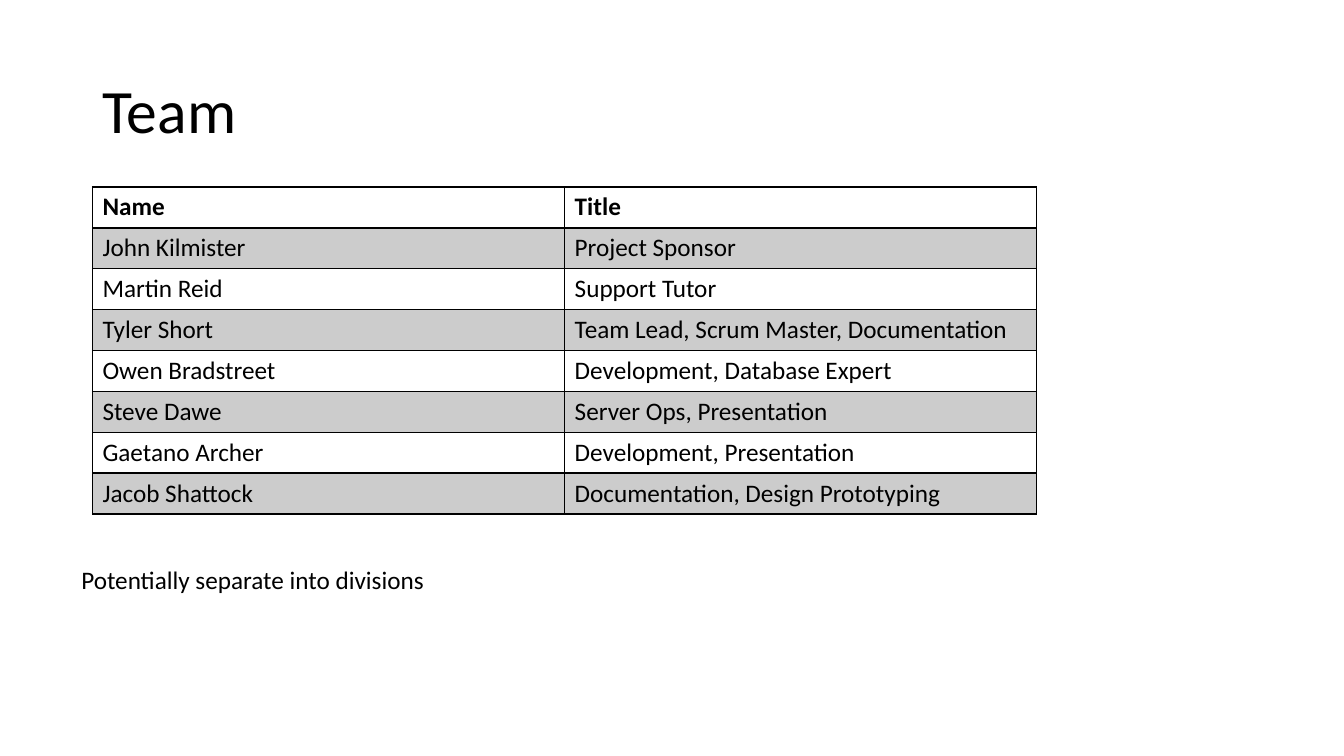
from dataclasses import dataclass

from lxml.etree import SubElement
from pptx import Presentation
from pptx.dml.color import RGBColor as Color
from pptx.enum.text import MSO_ANCHOR as Anchor
from pptx.oxml.ns import qn
from pptx.util import Cm, Pt


@dataclass(frozen=True)
class Theme:
    font: str = "Calibri"
    ink: str = "000000"
    band: str = "CCCCCC"
    title_size: int = 44
    body_size: int = 18
    rule: int = 1
    header_rule: int = 2


@dataclass(frozen=True)
class Box:
    left: float
    top: float
    width: float
    height: float

    def lengths(self):
        return Cm(self.left), Cm(self.top), Cm(self.width), Cm(self.height)


THEME = Theme()
HEADINGS = ("Name", "Title")
MEMBERS = (
    ("John Kilmister", "Project Sponsor"),
    ("Martin Reid", "Support Tutor"),
    ("Tyler Short", "Team Lead, Scrum Master, Documentation"),
    ("Owen Bradstreet", "Development, Database Expert"),
    ("Steve Dawe", "Server Ops, Presentation"),
    ("Gaetano Archer", "Development, Presentation"),
    ("Jacob Shattock", "Documentation, Design Prototyping"),
)


def write(frame, text, size, bold=False):
    para = frame.paragraphs[0]
    span = para.add_run()
    span.text = text
    span.font.name = THEME.font
    span.font.size = Pt(size)
    span.font.bold = bold
    span.font.color.rgb = Color.from_string(THEME.ink)
    return para


def add_text(page, box, text, size, anchor=Anchor.TOP):
    frame = page.shapes.add_textbox(*box.lengths()).text_frame
    frame.word_wrap = True
    frame.vertical_anchor = anchor
    return write(frame, text, size)


def add_borders(cell, bottom_width):
    properties = cell._tc.get_or_add_tcPr()
    widths = {"L": THEME.rule, "R": THEME.rule, "T": THEME.rule, "B": bottom_width}
    for side, width in widths.items():
        line = SubElement(properties, qn(f"a:ln{side}"), w=str(Pt(width)))
        fill = SubElement(line, qn("a:solidFill"))
        SubElement(fill, qn("a:srgbClr"), val=THEME.ink)


# Title
def add_title(page, box):
    para = add_text(page, box, "Team", THEME.title_size, Anchor.MIDDLE)
    para.line_spacing = 0.9


# Team table: bold header row, then alternating bands
def add_team_table(page, box):
    rows = (HEADINGS, *MEMBERS)
    table = page.shapes.add_table(len(rows), len(HEADINGS), *box.lengths()).table
    table.first_row = False
    table.horz_banding = False
    for row_number, texts in enumerate(rows):
        is_header = row_number == 0
        for column_number, text in enumerate(texts):
            cell = table.cell(row_number, column_number)
            write(cell.text_frame, text, THEME.body_size, bold=is_header)
            add_borders(cell, THEME.header_rule if is_header else THEME.rule)
            if row_number % 2:
                cell.fill.solid()
                cell.fill.fore_color.rgb = Color.from_string(THEME.band)
            else:
                cell.fill.background()


# Note below the table
def add_note(page, box):
    add_text(page, box, "Potentially separate into divisions", THEME.body_size)


def main():
    deck = Presentation()
    deck.slide_width, deck.slide_height = Cm(33.87), Cm(19.05)
    page = deck.slides.add_slide(deck.slide_layouts[6])
    add_title(page, Box(2.33, 1.01, 29.21, 3.68))
    add_team_table(page, Box(2.33, 4.71, 23.8, 8.24))
    add_note(page, Box(1.8, 14.1, 9.7, 1.03))
    deck.save("out.pptx")


if __name__ == "__main__":
    main()
